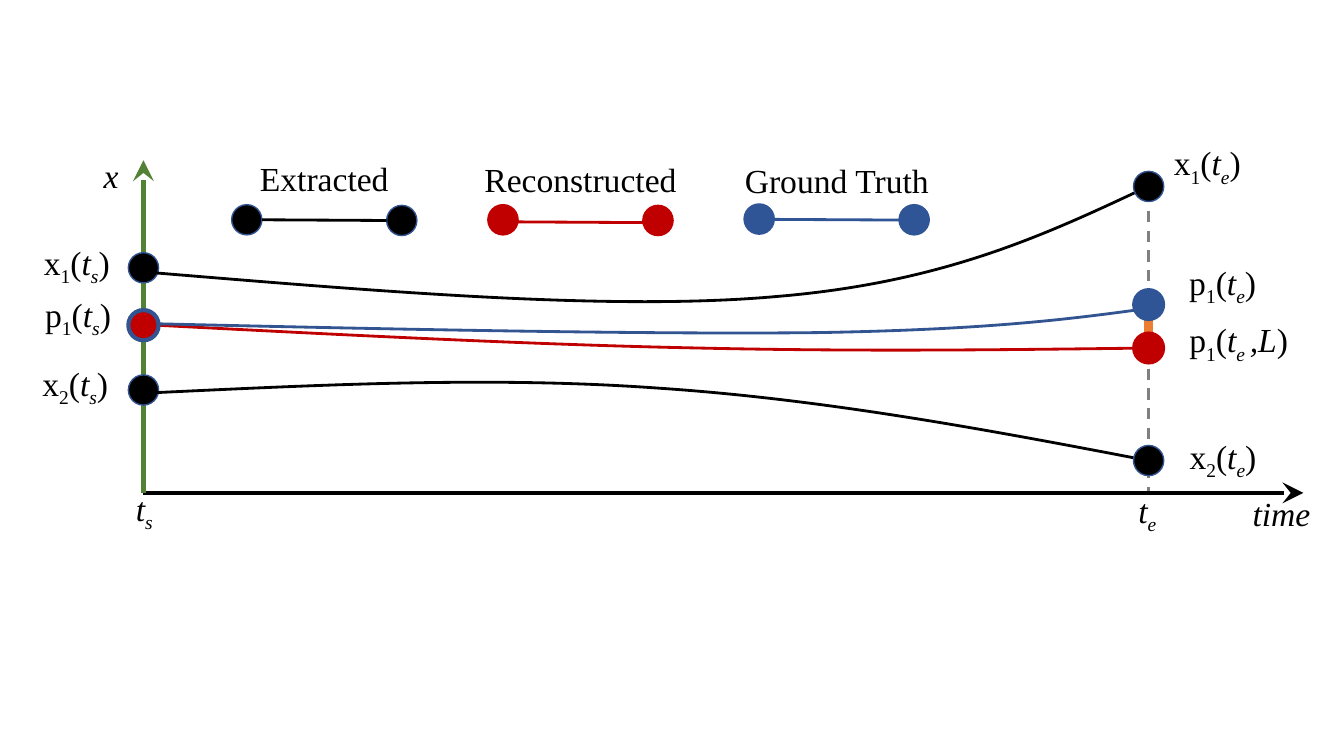
from lxml import etree
from pptx import Presentation
from pptx.dml.color import RGBColor
from pptx.enum.dml import MSO_LINE
from pptx.enum.shapes import MSO_CONNECTOR, MSO_SHAPE
from pptx.enum.text import MSO_AUTO_SIZE, PP_ALIGN
from pptx.oxml.ns import qn
from pptx.util import Pt

STRAIGHT = MSO_CONNECTOR.STRAIGHT
OVAL = MSO_SHAPE.OVAL
DASH = MSO_LINE.DASH
GROW = MSO_AUTO_SIZE.SHAPE_TO_FIT_TEXT
LEFT, CENTER = PP_ALIGN.LEFT, PP_ALIGN.CENTER

BLACK = RGBColor(0x00, 0x00, 0x00)
GRAY = RGBColor(0x80, 0x80, 0x80)
RED = RGBColor(0xC0, 0x00, 0x00)
BLUE = RGBColor(0x2F, 0x55, 0x97)
OUTLINE = RGBColor(0x32, 0x54, 0x91)
GREEN = RGBColor(0x54, 0x82, 0x35)
ORANGE = RGBColor(0xED, 0x7D, 0x31)

START_X, END_X, AXIS_Y = 102.5, 820.5, 352.1


def add_span(para, text, *, italic=False, lowered=False, size=24, color=BLACK, font="Times New Roman"):
    span = para.add_run()
    span.text = text
    span.font.name = font
    span.font.size = Pt(size)
    span.font.color.rgb = color
    span.font.italic = italic
    if lowered:
        span._r.get_or_add_rPr().set("baseline", "-25000")


def plain(text, italic=False):
    return [(text, {"italic": italic})]


def moment(time):
    return [("t", {"italic": True}), (time, {"italic": True, "lowered": True})]


def state(name, index, time, extra=""):
    spans = plain(name) + [(index, {"lowered": True})] + plain("(") + moment(time)
    if extra:
        spans += plain(extra, italic=True)
    return spans + plain(")")


class Diagram:
    dot_size = 21.6
    label_height = 36

    def __init__(self, page):
        self.shapes = page.shapes

    def curve(self, points, top, height, color, width=2):
        left, right = points[0][0], points[-1][0]
        builder = self.shapes.build_freeform(Pt(left), Pt(top), scale=1.0)
        builder.add_line_segments([(Pt(right), Pt(top + height))], close=False)
        shape = builder.convert_to_shape()
        outline = next(shape._element.iter(qn("a:path")))
        for step in list(outline):
            outline.remove(step)
        groups = [("a:moveTo", points[:1])]
        groups += [("a:cubicBezTo", points[first:first + 3]) for first in range(1, len(points), 3)]
        for kind, group in groups:
            step = etree.SubElement(outline, qn(kind))
            for x, y in group:
                etree.SubElement(step, qn("a:pt"), x=str(Pt(x - left)), y=str(Pt(y - top)))
        shape.shadow.inherit = False
        shape.fill.background()
        shape.line.color.rgb = color
        shape.line.width = Pt(width)

    def line(self, x1, y1, x2, y2, color, width=2, dash=None, arrow=False):
        connector = self.shapes.add_connector(STRAIGHT, Pt(x1), Pt(y1), Pt(x2), Pt(y2))
        connector.line.color.rgb = color
        connector.line.width = Pt(width)
        if dash:
            connector.line.dash_style = dash
        properties = connector._element.spPr
        if arrow:
            etree.SubElement(properties.find(qn("a:ln")), qn("a:tailEnd"), type="stealth", w="lg", len="lg")
        etree.SubElement(properties, qn("a:effectLst"))

    def dot(self, x, y, fill, outline=OUTLINE, width=1):
        size = self.dot_size
        shape = self.shapes.add_shape(OVAL, Pt(x - size / 2), Pt(y - size / 2), Pt(size), Pt(size))
        shape.shadow.inherit = False
        shape.fill.solid()
        shape.fill.fore_color.rgb = fill
        shape.line.color.rgb = outline
        shape.line.width = Pt(width)

    def label(self, x, y, width, spans, align=LEFT):
        box = self.shapes.add_textbox(Pt(x), Pt(y), Pt(width), Pt(self.label_height))
        box.text_frame.word_wrap = True
        box.text_frame.auto_size = GROW
        para = box.text_frame.paragraphs[0]
        para.alignment = align
        for text, style in spans:
            add_span(para, text, **style)

    def legend(self, x, y, name, color, outline, line_y, label_y, gap=110.7, width=250):
        self.dot(x, y, color, outline)
        self.dot(x + gap, y + 0.5, color, outline)
        radius = self.dot_size / 2
        self.line(x + radius, line_y, x + gap - radius, line_y + 0.5, color)
        self.label(x + gap / 2 - width / 2, label_y, width, plain(name), CENTER)


def main():
    deck = Presentation()
    deck.slide_width, deck.slide_height = Pt(960), Pt(540)
    diagram = Diagram(deck.slides.add_slide(deck.slide_layouts[6]))

    diagram.curve([(102.2, 231.8), (240.5, 239), (378.7, 246.2), (498.2, 248.6),
                   (618.5, 251.3), (720.7, 249.8), (822.2, 248.6)], 231.8, 18, RED)
    diagram.line(END_X, 122.4, END_X, AXIS_Y, GRAY, dash=DASH)
    diagram.curve([(103, 231.1), (285.1, 235.4), (466.6, 239), (586.1, 237.6),
                   (705.6, 235.4), (763.2, 228.2), (820.1, 220.3)], 220.3, 17.3, OUTLINE)
    diagram.line(START_X, AXIS_Y, 931, AXIS_Y, BLACK, 3, arrow=True)
    diagram.line(START_X, AXIS_Y, START_X, 114.5, GREEN, 3, arrow=True)
    for y in (278.6, 191.3):
        diagram.dot(START_X, y, BLACK)
    diagram.curve([(104.4, 280.8), (227.5, 275), (349.9, 268.6), (469.4, 277.2),
                   (588.2, 285.1), (704.2, 306.7), (820.1, 329)], 272.9, 56.1, BLACK)
    diagram.curve([(104.4, 194.4), (270.7, 208.1), (437, 222.5), (555.8, 211.7),
                   (675.4, 201.6), (748.1, 167), (820.1, 133.2)], 133.2, 82.8, BLACK)
    for y in (329, 133.2):
        diagram.dot(END_X, y, BLACK)
    diagram.dot(START_X, 232.3, RED, width=3)
    diagram.line(END_X, 228.2, END_X, 237.6, ORANGE, 6)
    diagram.dot(END_X, 217.6, BLUE, BLUE, 2)
    diagram.dot(END_X, 248.6, RED, RED, 2)

    for x, y, width, spans in (
        (90, 344.9, 60, moment("s")),
        (23.2, 255.6, 88.6, state("x", "2", "s")),
        (24.3, 169.2, 88.6, state("x", "1", "s")),
        (25.2, 206.2, 88.6, state("p", "1", "s")),
        (806, 346.3, 60, moment("e")),
        (842.6, 307.8, 88.6, state("x", "2", "e")),
        (831.4, 97.9, 88.6, state("x", "1", "e")),
        (842.4, 183.6, 88.6, state("p", "1", "e")),
        (842.4, 224.6, 118, state("p", "1", "e ", ",L")),
        (887.6, 348.5, 72.7, plain("time", italic=True)),
        (67, 107.3, 72.7, plain("x", italic=True)),
    ):
        diagram.label(x, y, width, spans)

    entries = (
        ("Extracted", BLACK, OUTLINE, 157, 157),
        ("Reconstructed", RED, RED, 157, 158.5),
        ("Ground Truth", BLUE, BLUE, 156.5, 156.7),
    )
    for column, (name, color, outline, y, line_y) in enumerate(entries):
        diagram.legend(176.3 + 183 * column, y, name, color, outline, line_y, 109.6 + 0.7 * column)

    deck.save("out.pptx")


if __name__ == "__main__":
    main()
